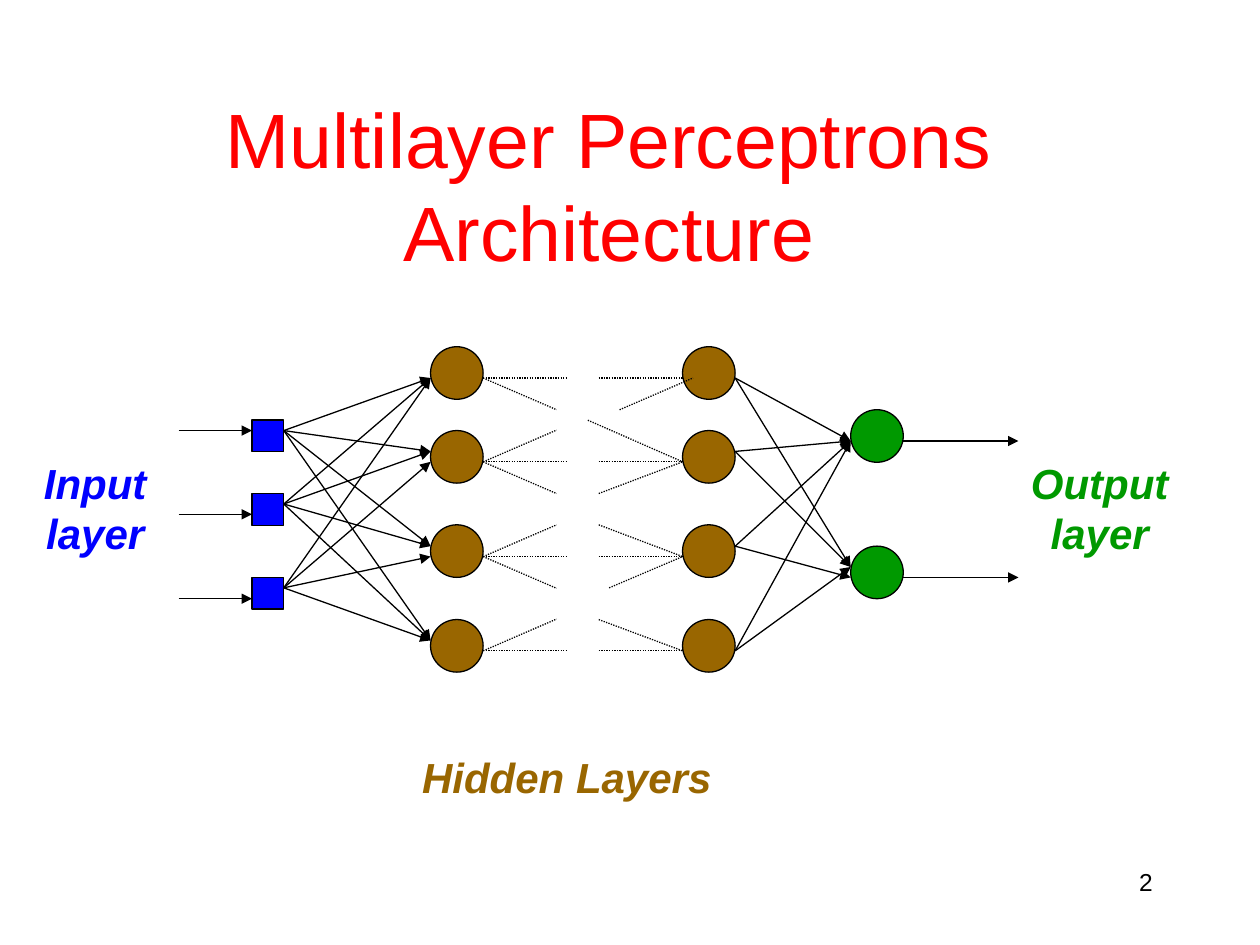
from lxml import etree
from pptx import Presentation
from pptx import util as u
from pptx.dml.color import RGBColor
from pptx.enum import dml, shapes, text
from pptx.oxml import ns

BLACK, RED, BLUE, GREEN, BROWN = "000000", "FF0000", "0000FF", "009900", "996600"
CENTER, LEFT, RIGHT = text.PP_ALIGN.CENTER, text.PP_ALIGN.LEFT, text.PP_ALIGN.RIGHT
RECTANGLE, OVAL = shapes.MSO_SHAPE.RECTANGLE, shapes.MSO_SHAPE.OVAL


def add_run(paragraph, words, size, color, emphasis=False):
    run = paragraph.add_run()
    run.text = words
    run.font.name = "Arial"
    run.font.size = u.Pt(size)
    run.font.bold = run.font.italic = emphasis
    run.font.color.rgb = RGBColor.from_string(color)


def add_line(start, end, dotted=False):
    """Draw a dotted stub, or a solid line with an arrowhead at its end."""
    points = [u.Cm(value) for value in (*start, *end)]
    connector = slide.shapes.add_connector(shapes.MSO_CONNECTOR.STRAIGHT, *points)
    connector.line.width = u.Pt(0.75)
    connector.line.color.rgb = RGBColor.from_string(BLACK)
    if dotted:
        connector.line.dash_style = dml.MSO_LINE.ROUND_DOT
    else:
        outline = connector.line._get_or_add_ln()
        etree.SubElement(outline, ns.qn("a:tailEnd"), type="triangle")
    etree.SubElement(connector._element.spPr, ns.qn("a:effectLst"))


presentation = Presentation()
presentation.slide_width, presentation.slide_height = u.Cm(25.4), u.Cm(19.05)
slide = presentation.slides.add_slide(presentation.slide_layouts[5])

# Title
title = slide.shapes.title
title.left, title.top, title.width, title.height = [
    u.Cm(value) for value in (1.48, 2.12, 21.59, 3.18)]
title.text_frame.auto_size = text.MSO_AUTO_SIZE.NONE
title.text_frame.vertical_anchor = text.MSO_ANCHOR.MIDDLE
heading = title.text_frame.paragraphs[0]
heading.alignment = CENTER
add_run(heading, "Multilayer Perceptrons", 44, RED)
heading.add_line_break()
add_run(heading, "Architecture", 44, RED)

# Layer labels and slide number
labels = [
    ((18.2, 17.36, 5.29, 1.27), ["2"], 14, BLACK, RIGHT),
    ((0.54, 9.1, 2.76, 2.29), ["Input", "layer"], 24, BLUE, CENTER),
    ((20.43, 9.1, 3.48, 2.29), ["Output", "layer"], 24, GREEN, CENTER),
    ((8.26, 15.03, 6.6, 1.27), ["Hidden Layers"], 24, BROWN, LEFT),
]
for box, lines, size, color, alignment in labels:
    frame = slide.shapes.add_textbox(*[u.Cm(value) for value in box]).text_frame
    is_label = color != BLACK
    frame.word_wrap = not is_label
    if is_label:
        frame.auto_size = text.MSO_AUTO_SIZE.SHAPE_TO_FIT_TEXT
    for index, words in enumerate(lines):
        paragraph = frame.add_paragraph() if index else frame.paragraphs[0]
        paragraph.alignment = alignment
        add_run(paragraph, words, size, color, emphasis=is_label)

# Nodes: shape, colour, size, left edge, top edges
hidden_tops = [6.99, 8.68, 10.58, 12.49]
layers = [
    (RECTANGLE, BLUE, 0.64, 5.08, [8.47, 9.95, 11.64]),
    (OVAL, BROWN, 1.06, 8.68, hidden_tops),
    (OVAL, BROWN, 1.06, 13.76, hidden_tops),
    (OVAL, GREEN, 1.06, 17.15, [8.26, 11.01]),
]
for kind, color, size, left, tops in layers:
    for top in tops:
        node = slide.shapes.add_shape(
            kind, u.Cm(left), u.Cm(top), u.Cm(size), u.Cm(size))
        node.shadow.inherit = False
        node.fill.solid()
        node.fill.fore_color.rgb = RGBColor.from_string(color)
        node.line.color.rgb = RGBColor.from_string(BLACK)
        node.line.width = u.Pt(0.75)

# Arrows into the input layer and out of the output layer
for y in (8.68, 10.37, 12.07):
    add_line((3.6, y), (5.08, y))
for y in (8.89, 11.64):
    add_line((18.2, y), (20.53, y))

# Input layer to first hidden layer
upper_ends, lower_ends = [7.62, 9.1, 11.01, 12.91], [7.62, 9.31, 11.22, 12.91]
for start_y, ends in [(8.68, upper_ends), (10.16, upper_ends), (11.85, lower_ends)]:
    for end_y in ends:
        add_line((5.72, start_y), (8.68, end_y))

# Last hidden layer to output layer
for start_y, second_end in [(7.62, 11.43), (9.1, 11.43), (11.01, 11.64), (13.12, 11.43)]:
    for end_y in (8.89, second_end):
        add_line((14.82, start_y), (17.15, end_y))

# Dotted stubs leaving the first hidden layer
rows = [7.62, 9.31, 11.22, 13.12]
for row in rows:
    add_line((9.74, row), (11.43, row), dotted=True)
    if row != rows[0]:
        add_line((9.74, row), (11.22, row - 0.64), dotted=True)
    if row != rows[-1]:
        add_line((9.74, row), (11.22, row + 0.64), dotted=True)

# Dotted stubs reaching the last hidden layer
for row in rows:
    add_line((12.07, row), (13.76, row), dotted=True)
slanted_stubs = [
    ((12.49, 8.26), (13.97, rows[0])),
    ((11.85, 8.47), (13.76, rows[1])),
    ((12.07, 9.95), (13.76, rows[1])),
    ((12.07, 10.58), (13.76, rows[2])),
    ((12.28, 11.85), (13.76, rows[2])),
    ((12.07, 12.49), (13.76, rows[3])),
]
for start, end in slanted_stubs:
    add_line(start, end, dotted=True)

presentation.save("out.pptx")
